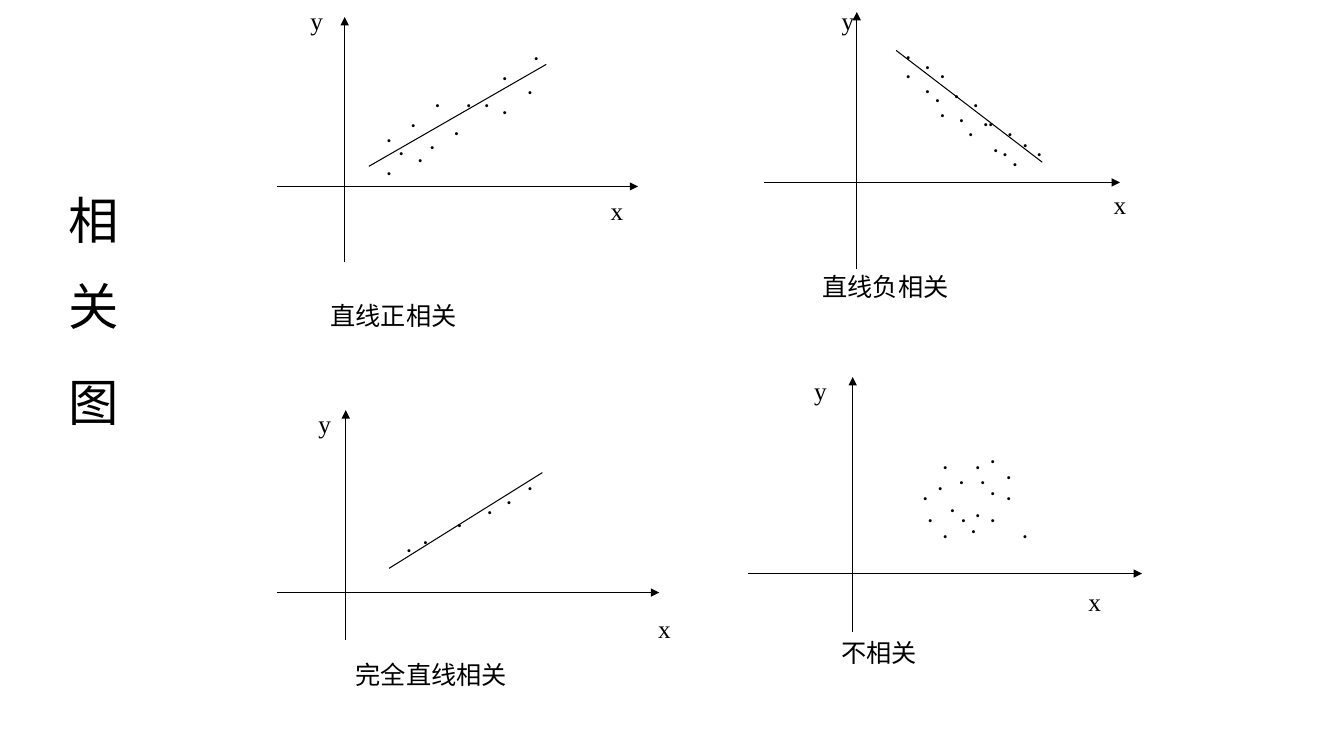
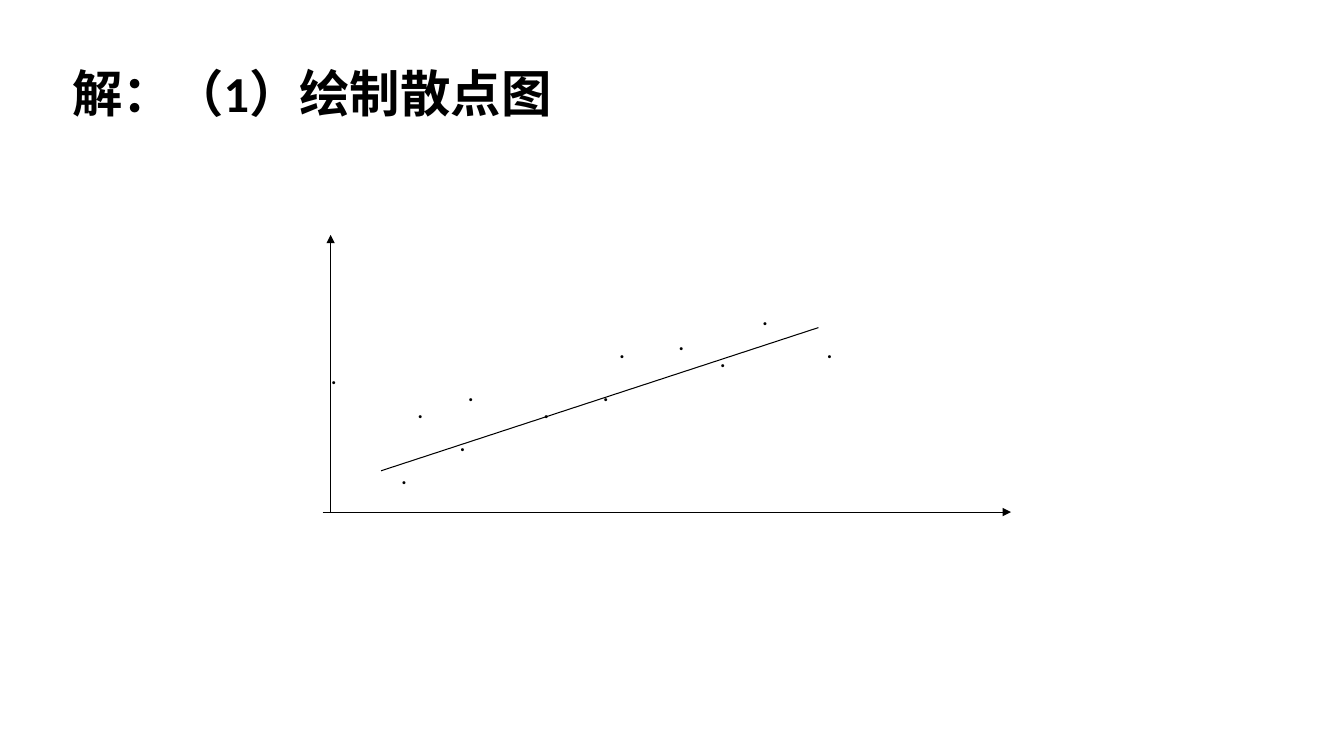
from lxml.etree import SubElement
from pptx import Presentation
from pptx.dml.color import RGBColor
from pptx.enum.text import MSO_ANCHOR as Anchor, MSO_AUTO_SIZE as AutoSize
from pptx.enum.shapes import MSO_CONNECTOR as Connector
from pptx.oxml.ns import qn
from pptx.util import Pt

INK = "000000"
LABEL = {"name": "Times New Roman", "size": Pt(18)}
HEADING = {"name": "Calibri", "size": Pt(36)}
TITLE = {**HEADING, "bold": True}
MARK_BOX = (21, 29)
AXIS_BOX = (24, 29)

POSITIVE = {
    "box": (198, 12.2, 257.8, 175),
    "origin": (48.2, 121),
    "trend": (65.5, 106.6, 192.2, 33.8),
    "x_at": (231.1, 123.8), "y_at": (16.6, -12.2),
    "caption": ("直线正相关", 31, 198.7),
    "dots": [(69.8, 72.7), (78.5, 82.1), (104.4, 48.2), (87.1, 62.6), (100.8, 77.8),
             (69.8, 96.5), (118.1, 67.7), (139.7, 48.2), (126.7, 48.2), (152.6, 53.3),
             (170.6, 38.9), (152.6, 28.8), (175, 14.4), (92.2, 87.1)],
}
NEGATIVE = {
    "box": (545.8, 8.6, 254.2, 183.6),
    "origin": (66.2, 121.7),
    "trend": (94.3, 27.4, 198.7, 107.3),
    "x_at": (242.6, 123.1), "y_at": (48.2, -8.6),
    "caption": ("直线负相关", 34.6, 181.4),
    "dots": [(106.6, 41.8), (92.9, 31), (117.4, 31), (106.6, 24.5), (113.8, 48.2),
             (117.4, 59), (127.4, 45.4), (141.1, 51.8), (151.9, 65.5), (137.5, 72.7),
             (131, 62.6), (165.6, 72.7), (176.4, 79.9), (155.5, 83.5), (148.3, 65.5),
             (169.2, 93.6), (162, 86.4), (186.5, 86.4), (92.9, 17.3)],
}
PERFECT = {
    "box": (198, 293, 272.9, 164.2),
    "origin": (49, 130.3),
    "trend": (79.9, 113, 189.4, 44.6),
    "x_at": (265, 141.8), "y_at": (22.3, -5),
    "caption": ("完全直线相关", 49, 174.2),
    "dots": [(84.2, 85), (95.8, 79.2), (120.2, 67), (141.8, 58.3), (155.5, 51.1),
             (170.6, 41)],
}
UNRELATED = {
    "box": (534.2, 269.3, 281.5, 182.2),
    "origin": (74.9, 140.4),
    "x_at": (236.2, 146.2), "y_at": (40.3, -5),
    "caption": ("不相关", 59.8, 182.2),
    "dots": [(136.1, 79.9), (144, 87.1), (151.2, 95), (157.7, 60.5), (116.6, 72),
             (164.9, 45.4), (187.9, 98.6), (131, 98.6), (120.2, 87.1), (164.9, 87.1),
             (176.4, 72), (154.1, 83.5), (154.1, 49.7), (142.6, 60.5), (131, 49.7),
             (127.4, 64.8), (176.4, 56.9), (164.9, 68.4)],
}
SOLUTION = {
    "box": (230.4, 167.8, 491.8, 198),
    "origin": (5.8, 198),
    "trend": (41.8, 168.5, 354.2, 66.2),
    "dots": [(149.8, 114.5), (90, 138.2), (95.8, 102.2), (48.2, 162), (59.8, 114.5),
             (192.2, 102.2), (-2, 90), (203.8, 72), (246.2, 66.2), (275.8, 78.5),
             (306, 48.2), (352.1, 72)],
}


def paint(color_format, color):
    """Apply a hex colour to a colour format."""
    color_format.rgb = RGBColor.from_string(color)


def add_span(para, text, style):
    """Add a run of text in the given style."""
    span = para.add_run()
    span.text = text
    for name, value in style.items():
        setattr(span.font, name, value)
    paint(span.font.color, INK)
    return span


def add_text(shapes, text, left, top, size, style=LABEL, **frame_values):
    """Place one paragraph of text and return its box."""
    box = shapes.add_textbox(Pt(left), Pt(top), *map(Pt, size))
    frame = box.text_frame
    for name, value in {"word_wrap": False, **frame_values}.items():
        setattr(frame, name, value)
    if text:
        add_span(frame.paragraphs[0], text, style)
    return box


def add_line(shapes, left, top, ends, arrow=False):
    """Draw a thin line between ends that are measured from a corner."""
    x1, y1, x2, y2 = ends
    line = shapes.add_connector(Connector.STRAIGHT, Pt(left + x1), Pt(top + y1),
                                Pt(left + x2), Pt(top + y2))
    line.line.width = Pt(0.75)
    paint(line.line.color, INK) if line.line.fill.solid() else None
    line.line.fill.solid()
    paint(line.line.fill.fore_color, INK)
    if arrow:
        SubElement(line.line._get_or_add_ln(), qn("a:tailEnd"), type="triangle")
    SubElement(line._element.spPr, qn("a:effectLst"))


def add_scatter(page, box, origin, dots, trend=None, x_at=None, y_at=None, caption=None):
    """Draw axes, dots, trend line and labels relative to a box."""
    shapes = page.shapes.add_group_shape().shapes
    left, top, width, height = box
    across, down = origin
    add_line(shapes, left, top, (0, down, width, down), arrow=True)
    add_line(shapes, left, top, (across, height, across, 0), arrow=True)
    if trend:
        add_line(shapes, left, top, trend)
    for x, y in dots:
        add_text(shapes, "·", left + x, top + y, MARK_BOX)
    for text, place in (("x", x_at), ("y", y_at)):
        if place:
            add_text(shapes, text, left + place[0], top + place[1], AXIS_BOX)
    if caption:
        text, x, y = caption
        add_text(shapes, text, left + x, top + y, (14.4 + 18 * len(text), 29))


def add_side_title(page, left, top, size):
    """Set the vertical heading, with its gaps as letter spacing."""
    box = add_text(page.shapes, "", left, top, size, word_wrap=True)
    box.text_frame._txBody.bodyPr.set("vert", "eaVert")
    para = box.text_frame.paragraphs[0]
    for text, gap in (("相", 26), ("关", 32.5), ("图", 0)):
        span = add_span(para, text, HEADING)
        span.font._element.set("spc", str(int(gap * 100)))


def add_title(page, left, top, size):
    """Set the bold heading of a slide."""
    box = add_text(page.shapes, "解：（1）绘制散点图", left, top, size, TITLE,
                   word_wrap=True, auto_size=AutoSize.NONE,
                   vertical_anchor=Anchor.MIDDLE)
    box.text_frame.paragraphs[0].line_spacing = 0.9


def main():
    """Build the deck and save it."""
    deck = Presentation()
    deck.slide_width, deck.slide_height = Pt(960), Pt(540)
    blank = deck.slide_layouts[6]

    page = deck.slides.add_slide(blank)
    for scatter in (NEGATIVE, POSITIVE, PERFECT, UNRELATED):
        add_scatter(page, **scatter)
    add_side_title(page, 33, 132, (58, 306))

    page = deck.slides.add_slide(blank)
    add_title(page, 44.6, 24, (612, 90))
    add_scatter(page, **SOLUTION)
    deck.save("out.pptx")


if __name__ == "__main__":
    main()
